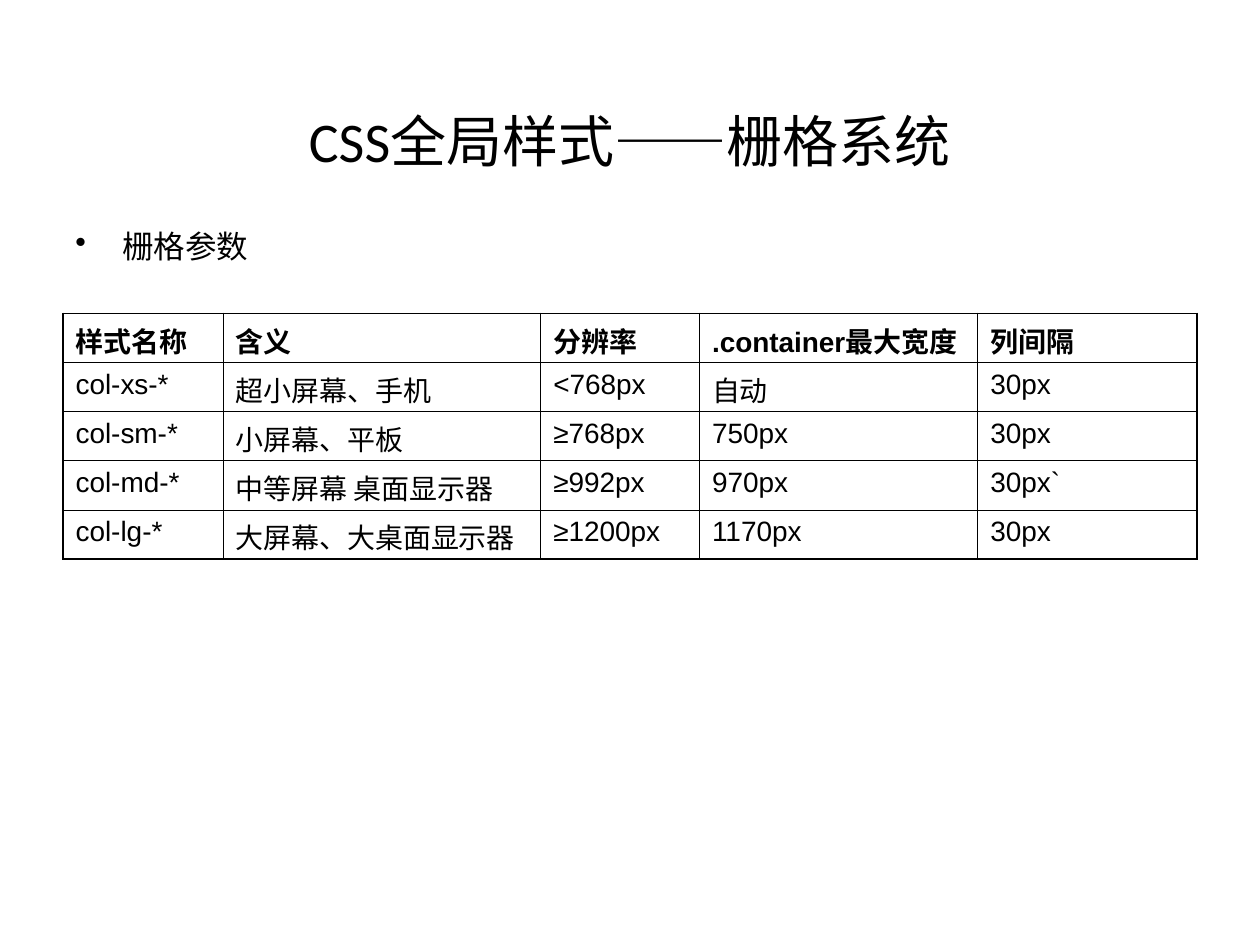
from lxml import etree
from pptx import Presentation
from pptx.dml.color import RGBColor
from pptx.enum import text
from pptx.oxml.ns import qn
from pptx.util import Cm, Pt

BLACK = RGBColor(0x00, 0x00, 0x00)
LATIN, BODY, CJK = "Calibri", "Arial", "Noto Sans CJK SC"
LEFT, WIDTH = Cm(1.27), Cm(22.86)
THIN, THICK = Pt(0.45), Pt(1.08)

COLUMN_WIDTHS = [3.23, 6.4, 3.2, 5.61, 4.42]
ROW_HEIGHT = Cm(0.99)
GRID_PARAMETERS = [
    ["样式名称", "含义", "分辨率", ".container最大宽度", "列间隔"],
    ["col-xs-*", "超小屏幕、手机", "<768px", "自动", "30px"],
    ["col-sm-*", "小屏幕、平板", "≥768px", "750px", "30px"],
    ["col-md-*", "中等屏幕 桌面显示器", "≥992px", "970px", "30px`"],
    ["col-lg-*", "大屏幕、大桌面显示器", "≥1200px", "1170px", "30px"],
]


def set_font(p, name, size, bold=False):
    """Give a paragraph its Latin and East Asian fonts, size and colour."""
    p.font.name, p.font.size, p.font.bold = name, Pt(size), bold
    p.font.color.rgb = BLACK
    latin = p.font._element.find(qn("a:latin"))
    ea = etree.Element(qn("a:ea"), typeface=CJK)
    latin.addnext(ea)


def add_text(slide, top, height, anchor):
    """Add a wrapping text box and return its first paragraph."""
    tf = slide.shapes.add_textbox(LEFT, top, WIDTH, height).text_frame
    tf.word_wrap = True
    tf.vertical_anchor = anchor
    return tf.paragraphs[0]


def add_title(slide):
    p = add_text(slide, Cm(1.75), Cm(2.16), text.MSO_ANCHOR.MIDDLE)
    p.alignment = text.PP_ALIGN.CENTER
    set_font(p, LATIN, 32)
    for part in ("CSS全局样式", "——", "栅格系统"):
        r = p.add_run()
        r.text = part
        if part == "——":
            r.font.name = CJK


def add_bullet(slide, words):
    p = add_text(slide, Cm(4.45), Cm(6.07), text.MSO_ANCHOR.TOP)
    p.text = words
    p.space_before = Pt(4.5)
    set_font(p, LATIN, 18)
    pPr = p._p.get_or_add_pPr()
    pPr.set("marL", str(Cm(0.95)))
    pPr.set("indent", str(-Cm(0.95)))
    bullet = etree.Element(qn("a:buChar"), char="•")
    pPr.find(qn("a:defRPr")).addprevious(bullet)


def set_borders(cell, widths):
    """Draw the left, right, top and bottom lines, in that order."""
    tcPr = cell._tc.get_or_add_tcPr()
    for i, (side, width) in enumerate(zip("LRTB", widths)):
        ln = etree.Element(qn(f"a:ln{side}"), w=str(width))
        fill = etree.SubElement(ln, qn("a:solidFill"))
        etree.SubElement(fill, qn("a:srgbClr"), val=str(BLACK))
        tcPr.insert(i, ln)


def add_grid_table(slide):
    rows, cols = len(GRID_PARAMETERS), len(COLUMN_WIDTHS)
    table = slide.shapes.add_table(
        rows, cols, LEFT, Cm(6.32), WIDTH, ROW_HEIGHT * rows).table
    table.horz_banding = False
    for column, width in zip(table.columns, COLUMN_WIDTHS):
        column.width = Cm(width)
    for i, values in enumerate(GRID_PARAMETERS):
        table.rows[i].height = ROW_HEIGHT
        for j, value in enumerate(values):
            cell = table.cell(i, j)
            cell.fill.background()
            p = cell.text_frame.paragraphs[0]
            p.text = value
            p.space_before = p.space_after = Pt(4)
            set_font(p, BODY, 16, bold=i == 0)
            outer = (j == 0, j == cols - 1, i == 0, i == rows - 1)
            set_borders(cell, [THICK if edge else THIN for edge in outer])


def main():
    prs = Presentation()
    prs.slide_width, prs.slide_height = Cm(25.4), Cm(19.05)
    slide = prs.slides.add_slide(prs.slide_layouts[6])
    add_title(slide)
    add_bullet(slide, "栅格参数")
    add_grid_table(slide)
    prs.save("out.pptx")


if __name__ == "__main__":
    main()
